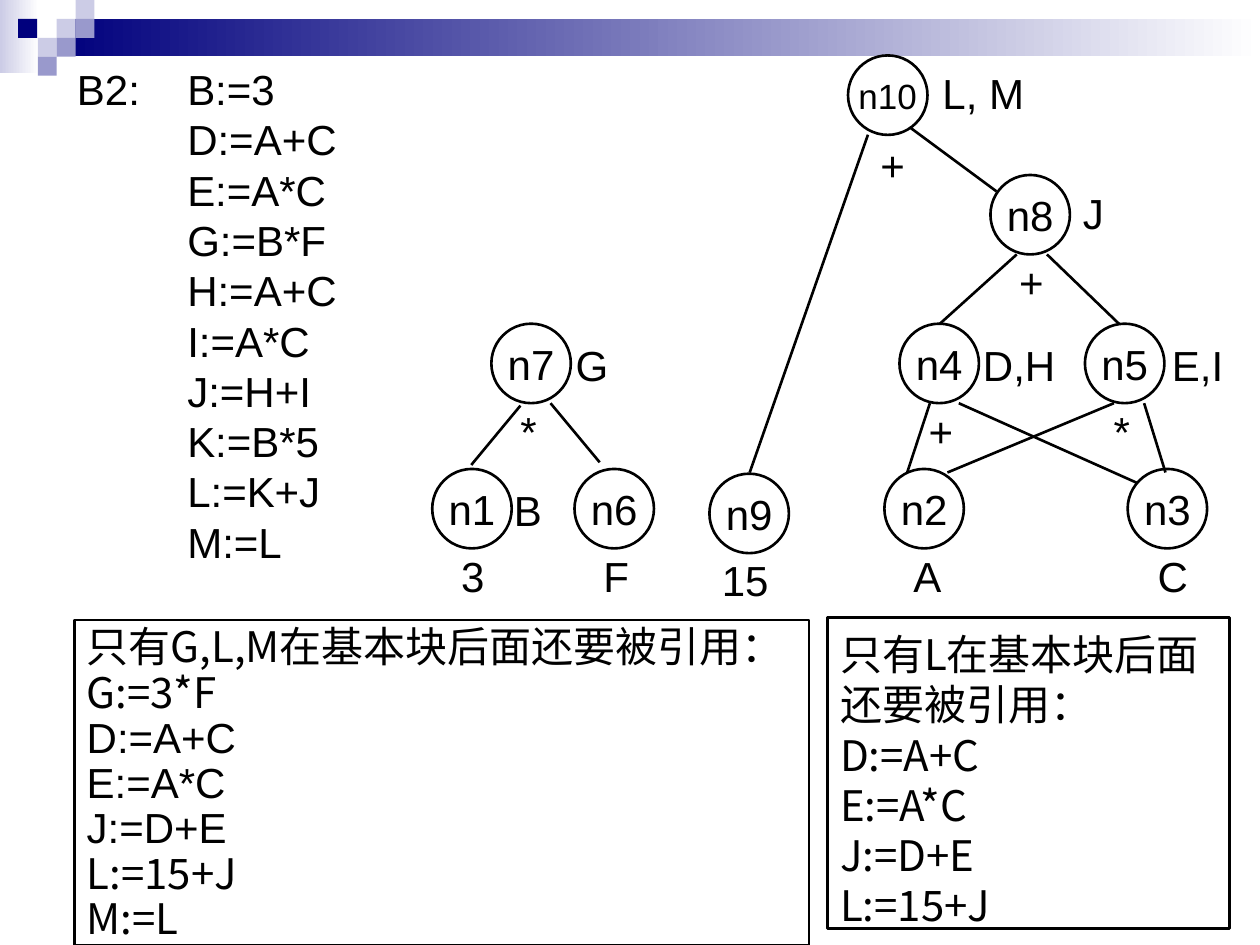
"""Builds the slide with the DAG of basic block B2 and its optimised code."""
from dataclasses import dataclass
from typing import Any

from lxml import etree
from pptx import Presentation
from pptx.dml.color import RGBColor
from pptx.enum.shapes import MSO_CONNECTOR, MSO_SHAPE
from pptx.enum.text import MSO_ANCHOR, MSO_AUTO_SIZE, PP_ALIGN
from pptx.oxml.ns import qn
from pptx.util import Pt

RECT, OVAL, STRAIGHT = MSO_SHAPE.RECTANGLE, MSO_SHAPE.OVAL, MSO_CONNECTOR.STRAIGHT
TOP, MIDDLE = MSO_ANCHOR.TOP, MSO_ANCHOR.MIDDLE
LEFT, CENTER = PP_ALIGN.LEFT, PP_ALIGN.CENTER
FIT = MSO_AUTO_SIZE.SHAPE_TO_FIT_TEXT

BLACK = RGBColor(0x00, 0x00, 0x00)
WHITE = RGBColor(0xFF, 0xFF, 0xFF)
NAVY = RGBColor(0x00, 0x00, 0x7D)
LILAC = RGBColor(0x99, 0x99, 0xCC)
PALE = RGBColor(0xCC, 0xCC, 0xE6)

ARIAL, CJK = "Arial", "Noto Sans CJK SC"
DIAMETER = 45.4

GRADIENTS = [(0, 0, 22.3, 41.8, PALE), (32.4, 10.8, 687.6, 21.4, NAVY)]
SQUARES = [
    (32.4, 10.8, PALE), (43.2, 0, PALE), (43.2, 10.8, LILAC), (21.6, 21.6, PALE),
    (10.4, 10.8, NAVY), (32.4, 21.6, LILAC), (21.6, 32.4, LILAC),
]

STATEMENTS = ["D:=A+C", "E:=A*C", "G:=B*F", "H:=A+C", "I:=A*C",
              "J:=H+I", "K:=B*5", "L:=K+J", "M:=L"]

NODES = [
    ("n1", 247, 268), ("n2", 505.4, 268), ("n3", 644.4, 268), ("n4", 514, 185),
    ("n5", 620, 185), ("n6", 328.3, 268), ("n7", 280.8, 185), ("n8", 566, 100),
    ("n9", 405.4, 270.7), ("n10", 484.6, 31.7),
]
VALUES = [
    ("3", 256.4, 311, 28), ("A", 514.8, 311, 30), ("C", 654.4, 311, 32),
    ("+", 523.5, 228.3, 29), ("*", 629.3, 228.3, 24), ("F", 337.7, 311, 29),
    ("*", 290.2, 228.3, 24), ("+", 575.3, 143.3, 29), ("15", 405.4, 313.2, 41),
    ("+", 496, 76.3, 29),
]
LABELS = [
    ("B", 286.6, 273.6, 30), ("D,H", 554.4, 190.5, 56), ("E,I", 662.4, 190.5, 44),
    ("G", 321.8, 190.5, 33), ("J", 611.3, 103.7, 27), ("L, M", 531.4, 35.3, 61),
]
EDGES = [
    (531.4, 230.4, 518.4, 270), (547.9, 230.4, 649.4, 275.8),
    (636.5, 230.4, 541.4, 270), (653.8, 230.4, 666, 270),
    (297.4, 231.8, 269.3, 265.7), (314.6, 230.4, 342.7, 264.2),
    (581, 145.4, 537.1, 185), (598.3, 145.4, 639.4, 185),
    (496, 77, 428.4, 270), (519.8, 72.7, 569.5, 109.4),
]

GLM_CODE = [
    ("只有G,L,M在基本块后面还要被引用：", CJK), ("G:=3*F", CJK), ("D:=A+C", ARIAL),
    ("E:=A*C", ARIAL), ("J:=D+E", ARIAL), ("L:=15+J", CJK), ("M:=L", CJK),
]
L_CODE = [(text, CJK) for text in (
    "只有L在基本块后面还要被引用：", "D:=A+C", "E:=A*C", "J:=D+E", "L:=15+J")]


@dataclass
class Deck:
    """Holds the slide and its text style."""
    s: Any
    size: float = 24
    pitch: float = 28.75
    line: float = 1.5

    def add_lines(self, tf, lines, size=None, pitch=None, align=LEFT, hanging=0):
        """Fills a text frame with one (text, font) pair per paragraph."""
        for i, (text, font) in enumerate(lines):
            p = tf.add_paragraph() if i else tf.paragraphs[0]
            p.alignment = align
            p.line_spacing = Pt(pitch or self.pitch)
            if hanging:
                pPr = p._p.get_or_add_pPr()
                pPr.set("marL", str(Pt(hanging)))
                pPr.set("indent", str(-Pt(hanging)))
            r = p.add_run()
            r.text = text
            r.font.size = Pt(size or self.size)
            r.font.name = font
            r.font.color.rgb = BLACK
            if font == CJK:
                etree.SubElement(r._r.get_or_add_rPr(), qn("a:ea"), typeface=font)

    def shape(self, kind, x, y, w, h, fill=None, outline=False):
        """Adds a preset shape without shadow."""
        sp = self.s.shapes.add_shape(kind, Pt(x), Pt(y), Pt(w), Pt(h))
        sp.shadow.inherit = False
        if fill is None:
            sp.fill.background()
        else:
            sp.fill.solid()
            sp.fill.fore_color.rgb = fill
        if outline:
            sp.line.color.rgb = BLACK
            sp.line.width = Pt(self.line)
        else:
            sp.line.fill.background()
        return sp

    def gradient(self, x, y, w, h, color):
        """Adds a bar fading to white from left to right."""
        fill = self.shape(RECT, x, y, w, h).fill
        fill.gradient()
        fill.gradient_angle = 0
        for stop, rgb in zip(fill.gradient_stops, (color, WHITE)):
            stop.color.rgb = rgb

    def node(self, name, x, y):
        """Adds a circle with its name in the centre."""
        tf = self.shape(OVAL, x, y, DIAMETER, DIAMETER, outline=True).text_frame
        tf.margin_left = tf.margin_right = 0
        tf.margin_top = tf.margin_bottom = Pt(3)
        tf.vertical_anchor = MIDDLE
        long = len(name) > 2
        tf.word_wrap = not long
        self.add_lines(tf, [(name, ARIAL)], 20 if long else 24, 24 if long else None, CENTER)

    def label(self, text, x, y, w, align=LEFT):
        """Adds a one-line text box."""
        tf = self.s.shapes.add_textbox(Pt(x), Pt(y), Pt(w), Pt(36)).text_frame
        tf.word_wrap = False
        tf.auto_size = FIT
        self.add_lines(tf, [(text, ARIAL)], align=align)

    def statements(self, lines, x, y, w, h):
        """Adds the code of the block with a hanging indent."""
        tf = self.s.shapes.add_textbox(Pt(x), Pt(y), Pt(w), Pt(h)).text_frame
        tf.word_wrap = True
        self.add_lines(tf, [(text, ARIAL) for text in lines], hanging=27)

    def code_box(self, lines, x, y, w, h, pitch, top):
        """Adds a framed box of code."""
        tf = self.shape(RECT, x, y, w, h, WHITE, True).text_frame
        tf.word_wrap = True
        tf.vertical_anchor = TOP
        tf.margin_top = Pt(top)
        self.add_lines(tf, lines, pitch=pitch)

    def edge(self, x1, y1, x2, y2):
        """Adds a straight line between two nodes."""
        c = self.s.shapes.add_connector(STRAIGHT, Pt(x1), Pt(y1), Pt(x2), Pt(y2))
        c.line.color.rgb = BLACK
        c.line.width = Pt(self.line)
        etree.SubElement(c._element.spPr, qn("a:effectLst"))


def main():
    """Draws the slide and saves it."""
    prs = Presentation()
    prs.slide_width, prs.slide_height = Pt(720), Pt(540)
    deck = Deck(prs.slides.add_slide(prs.slide_layouts[6]))
    for bar in GRADIENTS:
        deck.gradient(*bar)
    for x, y, color in SQUARES:
        deck.shape(RECT, x, y, 10.8, 10.8, color)
    deck.statements(["B2:\tB:=3"] + ["\t\t" + text for text in STATEMENTS],
                    36.9, 32.8, 245, 300)
    for node in NODES:
        deck.node(*node)
    for value in VALUES:
        deck.label(*value)
    for label in LABELS:
        deck.label(*label, align=CENTER)
    for edge in EDGES:
        deck.edge(*edge)
    deck.code_box(L_CODE, 473, 352.8, 229.7, 177.8, 28.75, 6.4)
    deck.code_box(GLM_CODE, 42.5, 354.2, 419.8, 185.8, 25.85, 3.6)
    prs.save("out.pptx")


if __name__ == "__main__":
    main()
